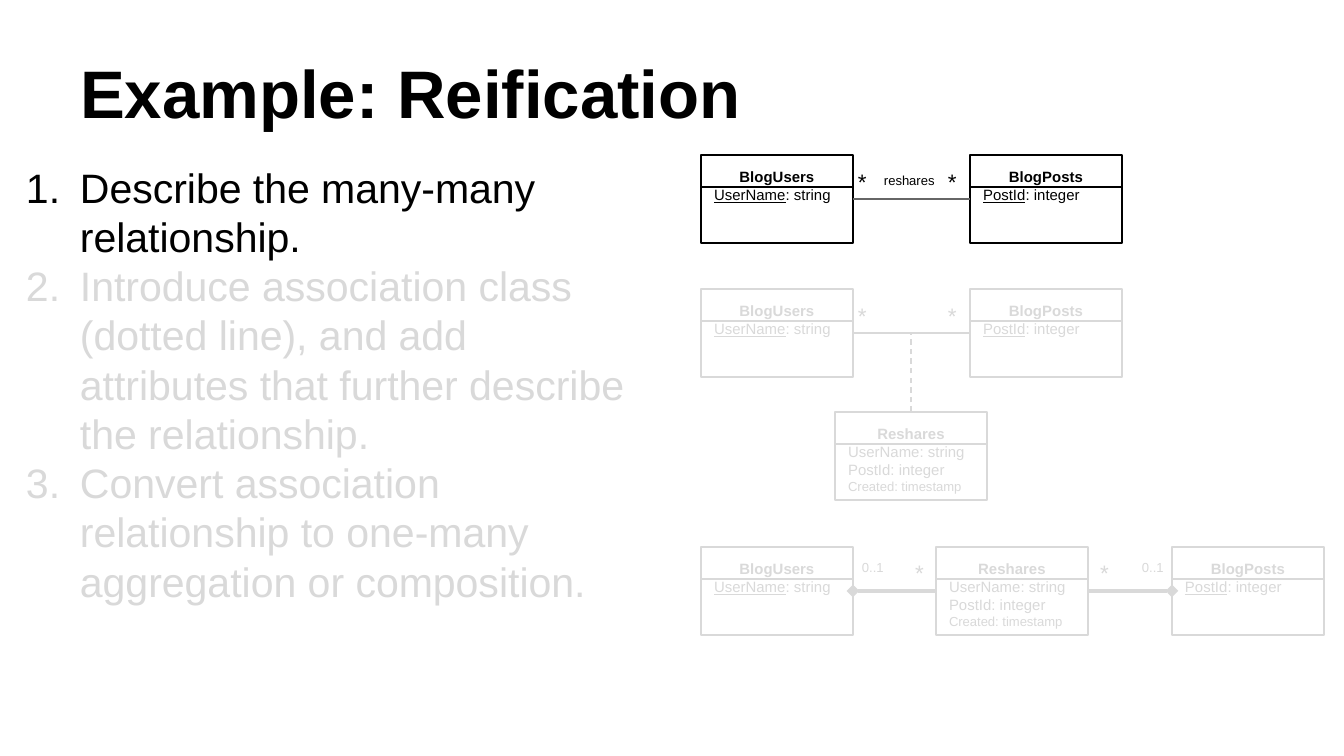
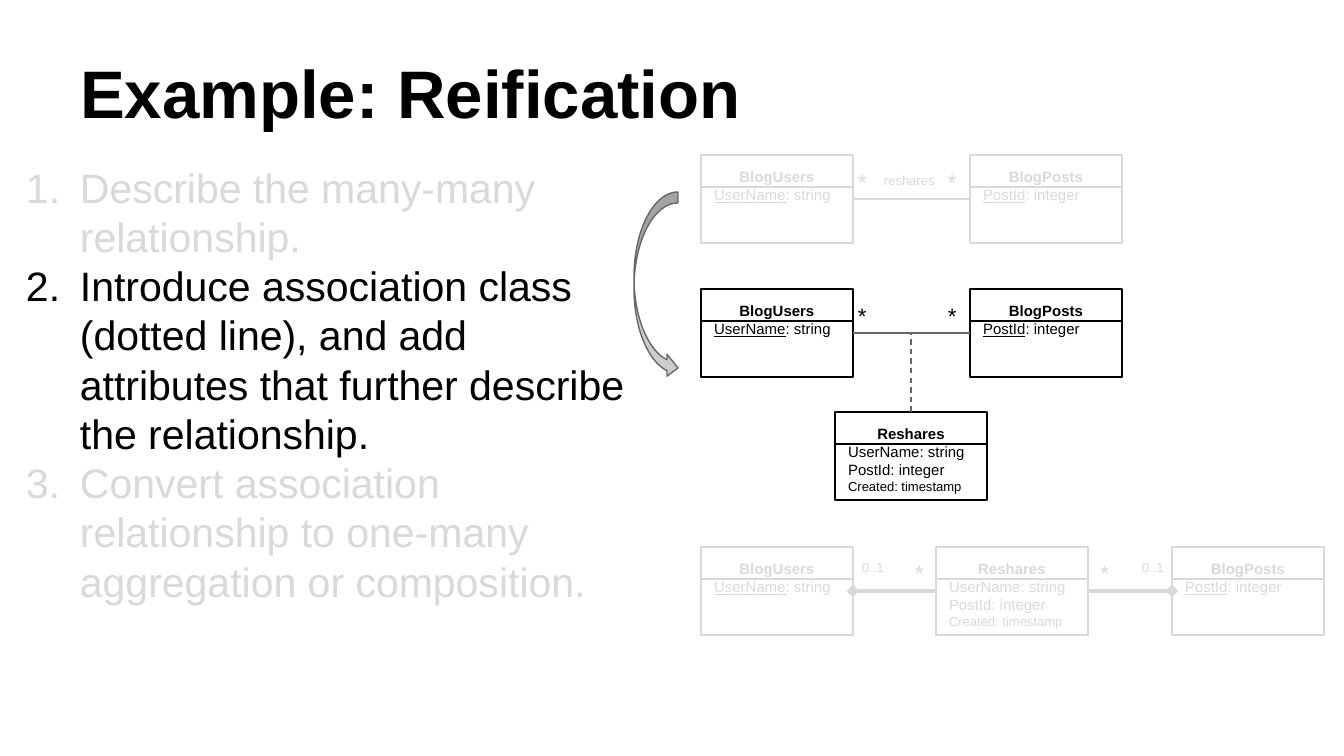
from lxml.etree import SubElement
from pptx import Presentation
from pptx.dml.color import RGBColor
from pptx.enum.dml import MSO_LINE_DASH_STYLE as DASH
from pptx.enum.shapes import MSO_CONNECTOR, MSO_SHAPE
from pptx.enum.text import MSO_ANCHOR, MSO_AUTO_SIZE, PP_ALIGN
from pptx.oxml.ns import qn
from pptx.util import Emu, Pt

EMU_PER_PX = 914400 / 134.4
FONT = "Arial"
LEADING = 1.2

BLACK = RGBColor(0x00, 0x00, 0x00)
GRAY = RGBColor(0x66, 0x66, 0x66)
SILVER = RGBColor(0xCC, 0xCC, 0xCC)
FAINT = RGBColor(0xD9, 0xD9, 0xD9)

TITLE = "Example: Reification"
STEPS = [
    "Describe the many-many\vrelationship.",
    "Introduce association class\v(dotted line), and add\v"
    "attributes that further describe\vthe relationship.",
    "Convert association\vrelationship to one-many aggregation or composition.",
]

CLASS_W, CLASS_H, HEADER_H = 152, 88, 32
INSET = 13
USERS_X, POSTS_X = 701, 970
MANY_ROW, ASSOCIATION_ROW, COMPOSITION_ROW = 155, 289, 547

# Each attribute is (underlined key, remaining text, size).
USERS = ("BlogUsers", [("UserName", ": string", 8)])
POSTS = ("BlogPosts", [("PostId", ": integer", 8)])
RESHARES = ("Reshares", [("", "UserName: string", 8),
                         ("", "PostId: integer", 8),
                         ("", "Created: timestamp", 7)])


def px(length):
    return Emu(round(length * EMU_PER_PX))


def box(*lengths):
    return [px(length) for length in lengths]


def format_runs(paragraph, size, color, bold=False):
    for run in paragraph.runs:
        run.font.name = FONT
        run.font.size = Pt(size)
        run.font.bold = bold
        run.font.color.rgb = color


def set_frame(frame, anchor=MSO_ANCHOR.TOP):
    frame.word_wrap = True
    frame.auto_size = MSO_AUTO_SIZE.NONE
    frame.vertical_anchor = anchor
    frame.margin_left = frame.margin_right = px(INSET)
    frame.margin_top = frame.margin_bottom = px(INSET)


def add_title(slide):
    title = slide.shapes.title
    title.left, title.top, title.width, title.height = box(67, 19, 1210, 126)
    set_frame(title.text_frame, MSO_ANCHOR.BOTTOM)
    title.text_frame.text = TITLE
    heading = title.text_frame.paragraphs[0]
    heading.alignment = PP_ALIGN.LEFT
    format_runs(heading, 36, BLACK, bold=True)


def add_steps(slide, inks):
    frame = slide.shapes.add_textbox(*box(0, 149, 679, 574)).text_frame
    set_frame(frame)
    for index, (step, ink) in enumerate(zip(STEPS, inks)):
        paragraph = frame.add_paragraph() if index else frame.paragraphs[0]
        paragraph.text = step
        paragraph.line_spacing = Pt(22 * LEADING)
        paragraph.space_before = Pt(0 if index else 6)
        format_runs(paragraph, 22, ink)
        add_number(paragraph, ink)


def add_number(paragraph, color):
    properties = paragraph._p.get_or_add_pPr()
    properties.set("marL", str(px(67)))
    properties.set("indent", str(px(-54)))
    bullet_color = SubElement(properties, qn("a:buClr"))
    SubElement(bullet_color, qn("a:srgbClr"), val=str(color))
    SubElement(properties, qn("a:buAutoNum"), type="arabicPeriod")


def add_line(slide, start, end, color, weight=0.75):
    line = slide.shapes.add_connector(
        MSO_CONNECTOR.STRAIGHT, *box(*start, *end))
    line.line.color.rgb = color
    line.line.width = Pt(weight)
    SubElement(line._element.spPr, qn("a:effectLst"))
    return line


def add_class(slide, left, top, content, ink):
    """Draw a class box with its name above a divider and its attributes below."""
    name, attributes = content
    shape = slide.shapes.add_shape(
        MSO_SHAPE.RECTANGLE, *box(left, top, CLASS_W, CLASS_H))
    shape.shadow.inherit = False
    shape.fill.background()
    shape.line.color.rgb = ink
    shape.line.width = Pt(0.75)

    frame = shape.text_frame
    set_frame(frame)
    frame.text = name
    heading = frame.paragraphs[0]
    heading.alignment = PP_ALIGN.CENTER
    heading.line_spacing = Pt(8 * LEADING)
    format_runs(heading, 8, ink, bold=True)
    for key, rest, size in attributes:
        paragraph = frame.add_paragraph()
        paragraph.alignment = PP_ALIGN.LEFT
        paragraph.line_spacing = Pt(size * LEADING)
        if key:
            key_run = paragraph.add_run()
            key_run.text = key
            key_run.font.underline = True
        paragraph.add_run().text = rest
        format_runs(paragraph, size, ink)

    divider_y = top + HEADER_H
    add_line(slide, (left, divider_y), (left + CLASS_W, divider_y), ink)
    return shape


def link(slide, left_class, right_class, color, weight=0.75, diamond=None):
    """Join two classes side by side; diamond is headEnd or tailEnd."""
    line = add_line(slide, (0, 0), (1, 1), color, weight)
    line.begin_connect(left_class, 3)
    line.end_connect(right_class, 1)
    if diamond:
        SubElement(line.line._get_or_add_ln(), qn(f"a:{diamond}"), type="diamond")


def add_label(slide, left, top, width, text, size, ink):
    frame = slide.shapes.add_textbox(*box(left, top, width, 34)).text_frame
    set_frame(frame)
    frame.text = text
    format_runs(frame.paragraphs[0], size, ink)


def add_star(slide, left, top, ink):
    add_label(slide, left, top, 28, "*", 12, ink)


def link_color(ink):
    return GRAY if ink == BLACK else ink


def add_many_to_many(slide, top, ink):
    users = add_class(slide, USERS_X, top, USERS, ink)
    posts = add_class(slide, POSTS_X, top, POSTS, ink)
    link(slide, users, posts, link_color(ink))
    for left in (845, 935):
        add_star(slide, left, top, ink)


def add_association_class(slide, ink):
    add_many_to_many(slide, ASSOCIATION_ROW, ink)
    left, top = 835, 412
    reshares = add_class(slide, left, top, RESHARES, ink)
    middle = left + CLASS_W // 2
    dashed = add_line(slide, (middle, top),
                      (middle, ASSOCIATION_ROW + CLASS_H // 2), link_color(ink))
    dashed.begin_connect(reshares, 0)
    dashed.line.dash_style = DASH.DASH


def add_composition(slide, ink):
    top = COMPOSITION_ROW
    users = add_class(slide, USERS_X, top, USERS, ink)
    posts = add_class(slide, 1172, top, POSTS, ink)
    reshares = add_class(slide, 936, top, RESHARES, ink)
    link(slide, users, reshares, ink, 2.25, "headEnd")
    link(slide, reshares, posts, ink, 2.25, "tailEnd")
    for left in (902, 1087):
        add_star(slide, left, top - 1, ink)
    for left in (849, 1129):
        add_label(slide, left, top - 1, 56, "0..1", 7, ink)


def add_step_arrow(slide):
    arrow = slide.shapes.add_shape(
        MSO_SHAPE.CURVED_RIGHT_ARROW, *box(634, 192, 44, 187))
    arrow.shadow.inherit = False
    arrow.fill.solid()
    arrow.fill.fore_color.rgb = SILVER
    arrow.line.color.rgb = GRAY
    arrow.line.width = Pt(0.75)


def add_reification_slide(deck, active):
    """Add a slide on which only the active step stands out."""
    slide = deck.slides.add_slide(deck.slide_layouts[5])
    inks = [BLACK if step == active else FAINT for step in range(len(STEPS))]
    add_title(slide)
    add_steps(slide, inks)
    add_many_to_many(slide, MANY_ROW, inks[0])
    add_label(slide, 871, MANY_ROW + 4, 80, "reshares", 7, inks[0])
    add_association_class(slide, inks[1])
    add_composition(slide, inks[2])
    return slide


def main():
    deck = Presentation()
    deck.slide_width, deck.slide_height = box(1344, 756)
    add_reification_slide(deck, active=0)
    add_step_arrow(add_reification_slide(deck, active=1))
    deck.save("out.pptx")


if __name__ == "__main__":
    main()
